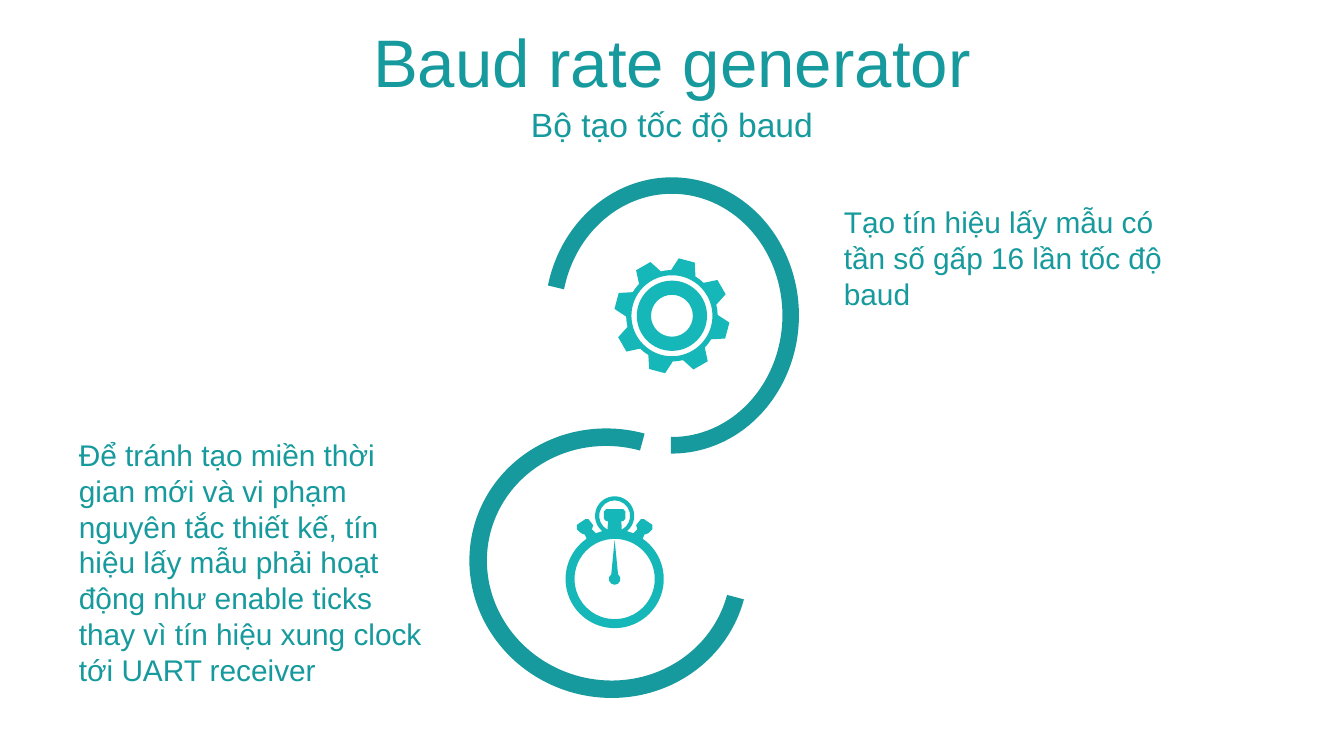
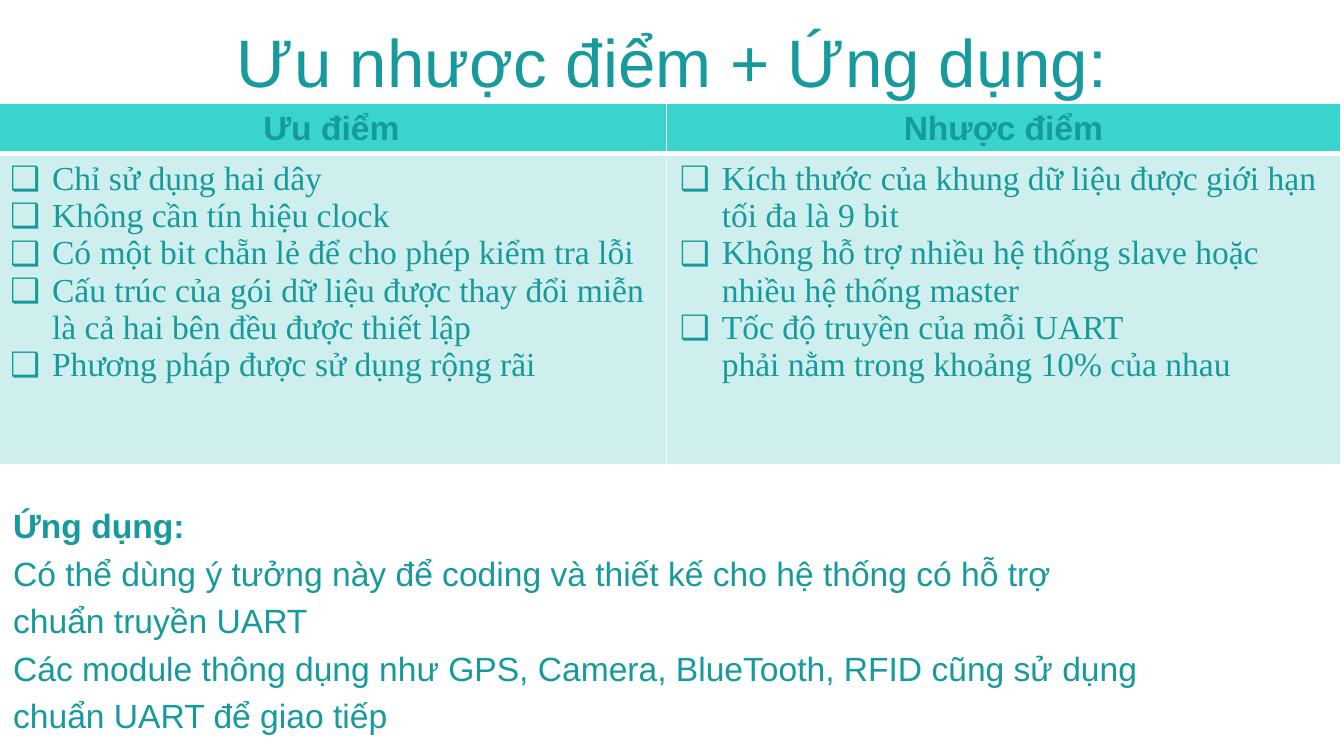
from math import ceil, cos, radians, sin, tan

from lxml import etree
from pptx import Presentation
from pptx.dml.color import RGBColor
from pptx.enum.shapes import MSO_SHAPE
from pptx.enum.text import MSO_ANCHOR, PP_ALIGN
from pptx.oxml.ns import qn
from pptx.util import Pt

TEAL = RGBColor(0x17, 0x9A, 0x9D)
ICON_TEAL = RGBColor(0x16, 0xB7, 0xB8)
HEADER_FILL = RGBColor(0x38, 0xD4, 0xCD)
BODY_FILL = RGBColor(0xCE, 0xEF, 0xED)
LEFT, CENTER = PP_ALIGN.LEFT, PP_ALIGN.CENTER
TOP, MIDDLE = MSO_ANCHOR.TOP, MSO_ANCHOR.MIDDLE
BLOCK_ARC = MSO_SHAPE.BLOCK_ARC
SANS, SERIF = "Arial", "Times New Roman"
TITLE_BOX = (0, 10, 720, 45.4)
INDENT = 22.5


def add_text(s, box, lines, size, align=LEFT, anchor=TOP, before=0):
    """Add a text box with one paragraph per line and return its text frame."""
    tf = s.shapes.add_textbox(*[Pt(v) for v in box]).text_frame
    tf.word_wrap = True
    tf.vertical_anchor = anchor
    tf.text = "\n".join(lines)
    for p in tf.paragraphs:
        p.alignment = align
        p.space_before = Pt(before)
        font = p.runs[0].font
        font.name, font.size, font.color.rgb = SANS, Pt(size), TEAL
    return tf


def arc(r, start=0, end=360, cy=0):
    """Segments around (0, cy), in degrees clockwise from the top.

    A segment holds one point for a line, or three for a Bezier curve.
    """
    count = ceil((end - start) / 90)
    step = radians((end - start) / count)
    pull = 4 / 3 * tan(step / 4)
    segments = [((r * sin(radians(start)), cy - r * cos(radians(start))),)]
    for i in range(count):
        a = radians(start) + i * step
        b = a + step
        segments.append((
            (r * (sin(a) + pull * cos(a)), cy - r * (cos(a) - pull * sin(a))),
            (r * (sin(b) - pull * cos(b)), cy - r * (cos(b) + pull * sin(b))),
            (r * sin(b), cy - r * cos(b)),
        ))
    return segments


prs = Presentation()
prs.slide_width, prs.slide_height = Pt(720), Pt(405)
blank = prs.slide_layouts[6]

# Slide 1: baud rate generator
s = prs.slides.add_slide(blank)
add_text(s, TITLE_BOX, ["Baud rate generator"], 36, CENTER, MIDDLE, 7.2)
add_text(s, (0, 55.4, 720, 22.3), ["Bộ tạo tốc độ baud"], 18, CENTER, MIDDLE, 3.6)

for box, rotation, start in [
    ((291.9, 95, 136.1, 148), 0, 116.15),
    ((251.3, 229.7, 149.8, 144), 195, 108),
]:
    sp = s.shapes.add_shape(BLOCK_ARC, *[Pt(v) for v in box])
    sp.rotation = rotation
    for i, value in enumerate((start, 54.26, 0.065)):
        sp.adjustments[i] = value
    sp.shadow.inherit = False
    sp.fill.solid()
    sp.fill.fore_color.rgb = TEAL
    sp.line.fill.background()

# Each icon is a list of nested contours around its own centre
gear_rim = []
for tooth in range(15, 375, 45):
    gear_rim += [arc(31, tooth - 8.2, tooth)[0], arc(31, tooth + 8.2, tooth + 9)[0]]
    gear_rim += arc(24.5, tooth + 16, tooth + 29)
gear = [gear_rim, arc(21.7), arc(18.8), arc(11.2)]

side_knob = [(10.1, -24.5), (12.2, -26.6), (11.5, -28.8), (14, -32), (15.8, -32),
             (20.2, -29), (20.2, -26.6), (18, -24.5), (16, -23.8), (15.2, -22)]
crown_button = [(3.6, -31), (4.6, -31), (5.8, -32.4), (5.8, -36), (4.6, -37.4), (0, -37.4)]
stopwatch_halves = [
    arc(10.5, 0, 141, -33.8) + [(p,) for p in side_knob] + arc(26.3, 35, 180),
    arc(8.3, 0, 153, -33.8) + [(p,) for p in crown_button],
    arc(21.5, 0, 180),
    [((0, -21),), ((1.8, -2.5),)] + arc(3.1, 35, 180),
]
stopwatch = []
for half in stopwatch_halves:
    points = [p for segment in half for p in segment]
    mirrored = iter([(-x, y) for x, y in reversed(points[:-1])])
    stopwatch.append(half + [tuple(next(mirrored) for _ in segment)
                             for segment in reversed(half[1:])])

for cx, cy, contours in [(360, 169.2, gear), (329.3, 310.2, stopwatch)]:
    outlines = [[(100 * (cx + x), 100 * (cy + y)) for segment in contour for x, y in segment]
                for contour in contours]
    builder = s.shapes.build_freeform(*outlines[0][0], scale=Pt(0.01))
    for i, points in enumerate(outlines):
        if i:
            builder.move_to(*points[0])
        builder.add_line_segments(points[1:], close=True)
    sp = builder.convert_to_shape()
    # Join each three-point segment into one Bezier curve
    steps = iter(list(sp._element.iter(qn("a:lnTo"))))
    for contour in contours:
        for segment in contour[1:]:
            first, *others = [next(steps) for _ in segment]
            if others:
                first.tag = qn("a:cubicBezTo")
            for other in others:
                first.append(other[0])
                other.getparent().remove(other)
    sp.shadow.inherit = False
    sp.fill.solid()
    sp.fill.fore_color.rgb = ICON_TEAL
    sp.line.fill.background()

add_text(s, (35.2, 230.4, 200, 143.3), [
    "Để tránh tạo miền thời gian mới và vi phạm nguyên tắc thiết kế, "
    "tín hiệu lấy mẫu phải hoạt động như enable ticks thay vì "
    "tín hiệu xung clock tới UART receiver"], 16)
add_text(s, (445, 105.5, 200, 65.5),
         ["Tạo tín hiệu lấy mẫu có tần số gấp 16 lần tốc độ baud"], 16)

# Slide 2: pros, cons and applications
s = prs.slides.add_slide(blank)
add_text(s, TITLE_BOX, ["Ưu nhược điểm + Ứng dụng:"], 36, CENTER, MIDDLE, 7.2)

columns = [
    ("Ưu điểm", 358.8, [
        "Chỉ sử dụng hai dây",
        "Không cần tín hiệu clock",
        "Có một bit chẵn lẻ để cho phép kiểm tra lỗi",
        "Cấu trúc của gói dữ liệu được thay đổi miễn là cả hai bên đều được thiết lập",
        "Phương pháp được sử dụng rộng rãi",
    ]),
    ("Nhược điểm", 361.2, [
        "Kích thước của khung dữ liệu được giới hạn\vtối đa là 9 bit",
        "Không hỗ trợ nhiều hệ thống slave hoặc\vnhiều hệ thống master",
        "Tốc độ truyền của mỗi UART\vphải nằm trong khoảng 10% của nhau",
    ]),
]
table = s.shapes.add_table(2, 2, Pt(-1.8), Pt(55.2), Pt(720), Pt(193)).table
table.horz_banding = False
table.rows[0].height, table.rows[1].height = Pt(26.6), Pt(166.4)
for col, (heading, width, items) in enumerate(columns):
    table.columns[col].width = Pt(width)
    for row, lines in enumerate(([heading], items)):
        is_header = row == 0
        cell = table.cell(row, col)
        if is_header:
            cell.margin_bottom = Pt(2)
        tcPr = cell._tc.get_or_add_tcPr()
        for side in ("lnL", "lnR", "lnT", "lnB"):
            # The rule between header and body is thicker
            thick = side == ("lnB" if is_header else "lnT")
            ln = etree.SubElement(tcPr, qn(f"a:{side}"), w=str(Pt(3 if thick else 1)))
            fill = etree.SubElement(ln, qn("a:solidFill"))
            etree.SubElement(fill, qn("a:srgbClr"), val="FFFFFF")
        cell.fill.solid()
        cell.fill.fore_color.rgb = HEADER_FILL if is_header else BODY_FILL
        tf = cell.text_frame
        tf.text = "\n".join(lines)
        for p in tf.paragraphs:
            p.alignment = CENTER if is_header else LEFT
            if not is_header:
                pPr = p._p.get_or_add_pPr()
                pPr.set("marL", str(Pt(INDENT)))
                pPr.set("indent", str(-Pt(INDENT)))
                etree.SubElement(pPr, qn("a:buFont"), typeface=SANS)
                etree.SubElement(pPr, qn("a:buChar"), char="❑")
            for r in p.runs:
                r.font.name = SANS if is_header else SERIF
                r.font.size, r.font.bold = Pt(18), is_header
                r.font.color.rgb = TEAL

tf = add_text(s, (0, 259.2, 626.4, 146.2), [
    "Ứng dụng:",
    "Có thể dùng ý tưởng này để coding và thiết kế cho hệ thống có hỗ trợ",
    "chuẩn truyền UART",
    "Các module thông dụng như GPS, Camera, BlueTooth, RFID cũng sử dụng",
    "chuẩn UART để giao tiếp",
], 18, anchor=MIDDLE, before=3.8)
tf.paragraphs[0].runs[0].font.bold = True

prs.save("out.pptx")
